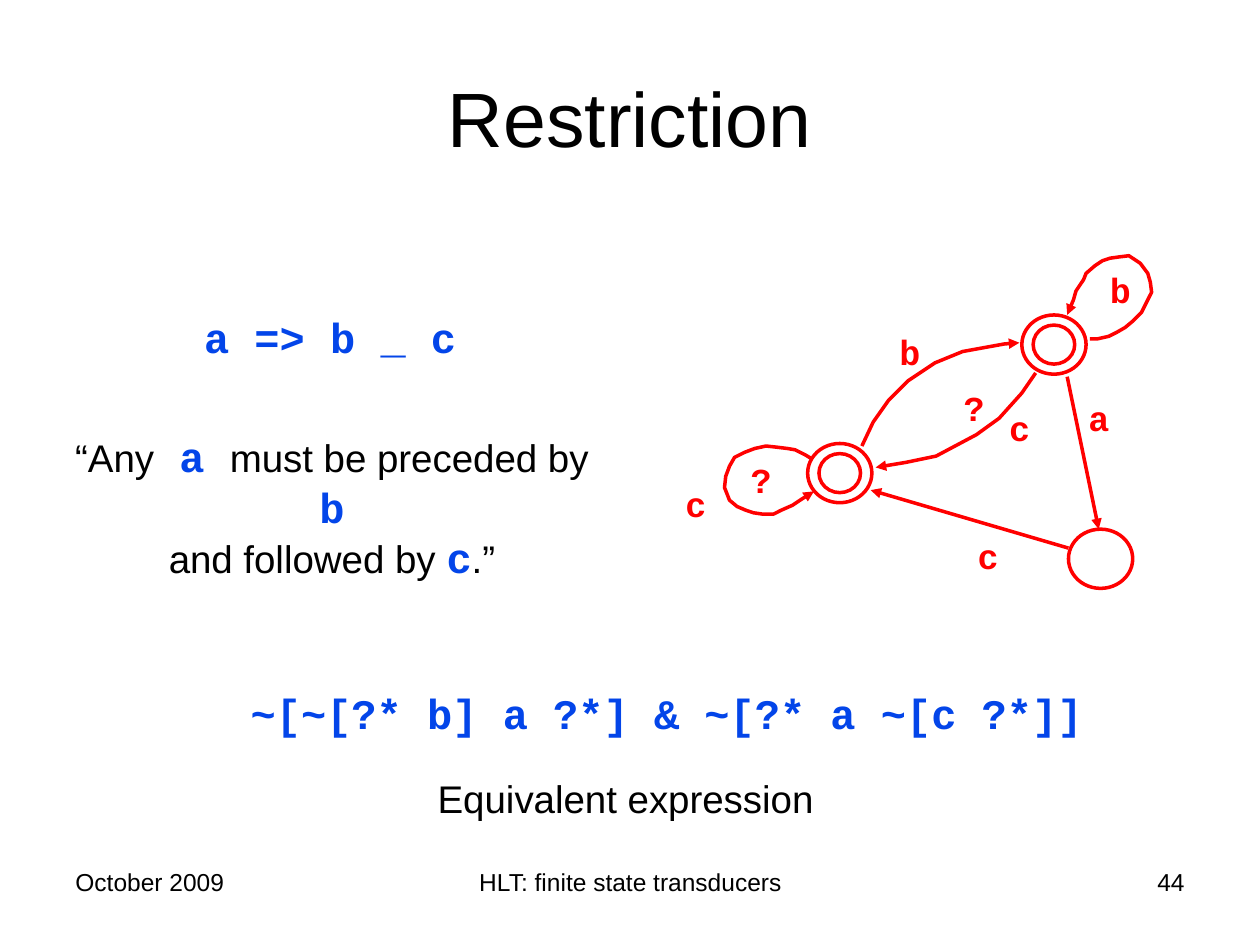
import pptx
import pptx.util
import pptx.dml.color
import pptx.enum.shapes
import pptx.enum.text
import pptx.oxml

BLACK = pptx.dml.color.RGBColor(0x00, 0x00, 0x00)
RED = pptx.dml.color.RGBColor(0xFF, 0x00, 0x00)
BLUE = pptx.dml.color.RGBColor(0x03, 0x45, 0xE9)

LEFT = pptx.enum.text.PP_ALIGN.LEFT
CENTER = pptx.enum.text.PP_ALIGN.CENTER
RIGHT = pptx.enum.text.PP_ALIGN.RIGHT
TOP = pptx.enum.text.MSO_ANCHOR.TOP
MIDDLE = pptx.enum.text.MSO_ANCHOR.MIDDLE

CM_PER_INCH = 2.54
LINE_WIDTH = pptx.util.Pt(2)
DRAWING = "http://schemas.openxmlformats.org/drawingml/2006/main"

FORMATS = {
    "title": ({"name": "Arial", "size": pptx.util.Pt(44), "bold": False}, BLACK),
    "footer": ({"name": "Arial", "size": pptx.util.Pt(14), "bold": False}, BLACK),
    "plain": ({"name": "Arial", "size": pptx.util.Pt(22), "bold": False}, BLACK),
    "gap": ({"name": "Courier New", "size": pptx.util.Pt(24), "bold": True}, BLACK),
    "code": ({"name": "Courier New", "size": pptx.util.Pt(24), "bold": True}, BLUE),
    "label": ({"name": "Courier New", "size": pptx.util.Pt(20), "bold": True}, RED),
}

TEXTS = [
    ((0.5, 6.83, 2.33, 0.52), LEFT, TOP, True, [[("October 2009", "footer")]]),
    ((3.42, 6.83, 3.17, 0.52), CENTER, TOP, True,
     [[("HLT: finite state transducers", "footer")]]),
    ((7.17, 6.83, 2.33, 0.52), RIGHT, TOP, True, [[("44", "footer")]]),
    ((0.5, 0.3, 9, 1.25), CENTER, MIDDLE, True, [[("Restriction", "title")]]),
    ((1.52, 2.42, 2.2, 0.5), CENTER, TOP, False, [[("a => b _ c", "code")]]),
    ((0.3, 3.37, 4.67, 0.9), CENTER, TOP, False, [
        [("“Any", "plain"), (" ", "gap"), ("a ", "code"),
         ("must be preceded by", "plain"), (" ", "gap"), ("b", "code")],
        [("and followed by ", "plain"), ("c", "code"), (".”", "plain")],
    ]),
    ((1.89, 5.41, 7, 0.5), CENTER, TOP, False,
     [[("~[~[?* b] a ?*] & ~[?* a ~[c ?*]] ", "code")]]),
    ((3.29, 6.1, 3.35, 0.46), CENTER, TOP, False,
     [[("Equivalent expression", "plain")]]),
]

STATES = [
    ((8.735, 4.435), False),
    ((8.365, 2.735), True),
    ((6.665, 3.755), True),
]
OUTER_RING = (0.51, 0.47)
INNER_RING = (0.33, 0.31)

STRAIGHT_ARCS = [
    ((8.47, 2.99), (8.72, 4.2)),
    ((8.48, 4.35), (6.91, 3.89)),
]
CURVED_ARCS = [
    [(6.84, 3.54), (6.93, 3.35), (7.05, 3.18), (7.21, 3.02), (7.42, 2.88),
     (7.64, 2.79), (7.97, 2.73), (8.09, 2.72)],
    [(8.22, 2.96), (8.11, 3.12), (7.93, 3.32), (7.75, 3.45), (7.43, 3.62),
     (7.19, 3.67), (6.95, 3.71)],
    [(6.44, 3.64), (6.39, 3.61), (6.31, 3.57), (6.25, 3.56), (6.17, 3.55),
     (6.08, 3.54), (5.99, 3.56), (5.91, 3.59), (5.83, 3.63), (5.79, 3.7),
     (5.76, 3.78), (5.75, 3.87), (5.79, 3.97), (5.85, 4.02), (5.92, 4.05),
     (5.98, 4.07), (6.05, 4.08), (6.14, 4.08), (6.2, 4.05), (6.29, 4.01),
     (6.35, 3.97), (6.46, 3.9)],
    [(8.65, 2.69), (8.71, 2.69), (8.8, 2.67), (8.86, 2.64), (8.93, 2.6),
     (8.99, 2.55), (9.06, 2.48), (9.1, 2.4), (9.14, 2.32), (9.13, 2.24),
     (9.11, 2.17), (9.05, 2.09), (8.96, 2.03), (8.88, 2.04), (8.81, 2.05),
     (8.75, 2.07), (8.69, 2.11), (8.62, 2.17), (8.6, 2.22), (8.54, 2.31),
     (8.52, 2.38), (8.47, 2.5)],
]

ARC_LABELS = [
    ("?", 5.86, 3.59), ("c", 5.34, 3.78), ("b", 8.71, 2.08), ("b", 7.04, 2.57),
    ("c", 7.91, 3.18), ("?", 7.55, 3.02), ("a", 8.54, 3.1), ("c", 7.66, 4.19),
]
LABEL_SIZE = (0.55, 0.43)


def lengths(*inches):
    return [pptx.util.Cm(value * CM_PER_INCH) for value in inches]


def add_text(slide, box, alignment, anchor, wrap, paragraphs):
    frame = slide.shapes.add_textbox(*lengths(*box)).text_frame
    frame.word_wrap = wrap
    frame.vertical_anchor = anchor
    for index, runs in enumerate(paragraphs):
        paragraph = frame.add_paragraph() if index else frame.paragraphs[0]
        paragraph.alignment = alignment
        for text, style in runs:
            run = paragraph.add_run()
            run.text = text
            values, color = FORMATS[style]
            for name, value in values.items():
                setattr(run.font, name, value)
            run.font.color.rgb = color


def draw_outline(shape):
    shape.line.color.rgb = RED
    shape.line.width = LINE_WIDTH


def add_arrowhead(shape):
    line = shape._element.spPr.get_or_add_ln()
    line.append(pptx.oxml.parse_xml(f'<a:tailEnd xmlns:a="{DRAWING}" type="triangle"/>'))


def add_ring(slide, center, size):
    corner = [middle - extent / 2 for middle, extent in zip(center, size)]
    ring = slide.shapes.add_shape(
        pptx.enum.shapes.MSO_SHAPE.OVAL, *lengths(*corner, *size))
    ring.shadow.inherit = False
    ring.fill.background()
    draw_outline(ring)


def add_straight_arc(slide, start, end):
    arc = slide.shapes.add_connector(
        pptx.enum.shapes.MSO_CONNECTOR.STRAIGHT, *lengths(*start, *end))
    draw_outline(arc)
    add_arrowhead(arc)
    arc._element.spPr.append(
        pptx.oxml.parse_xml(f'<a:effectLst xmlns:a="{DRAWING}"/>'))


def add_curved_arc(slide, points):
    start, *rest = [lengths(*point) for point in points]
    builder = slide.shapes.build_freeform(*start)
    builder.add_line_segments(rest, close=False)
    arc = builder.convert_to_shape()
    arc.shadow.inherit = False
    arc.fill.background()
    draw_outline(arc)
    add_arrowhead(arc)


def main():
    presentation = pptx.Presentation()
    presentation.slide_width, presentation.slide_height = lengths(10, 7.5)
    slide = presentation.slides.add_slide(presentation.slide_layouts[6])

    for center, final in STATES:
        if final:
            add_ring(slide, center, INNER_RING)
        add_ring(slide, center, OUTER_RING)
    for start, end in STRAIGHT_ARCS:
        add_straight_arc(slide, start, end)
    for points in CURVED_ARCS:
        add_curved_arc(slide, points)
    for text, left, top in ARC_LABELS:
        add_text(slide, (left, top, *LABEL_SIZE), LEFT, TOP, True, [[(text, "label")]])
    for text in TEXTS:
        add_text(slide, *text)

    presentation.save("out.pptx")


if __name__ == "__main__":
    main()
